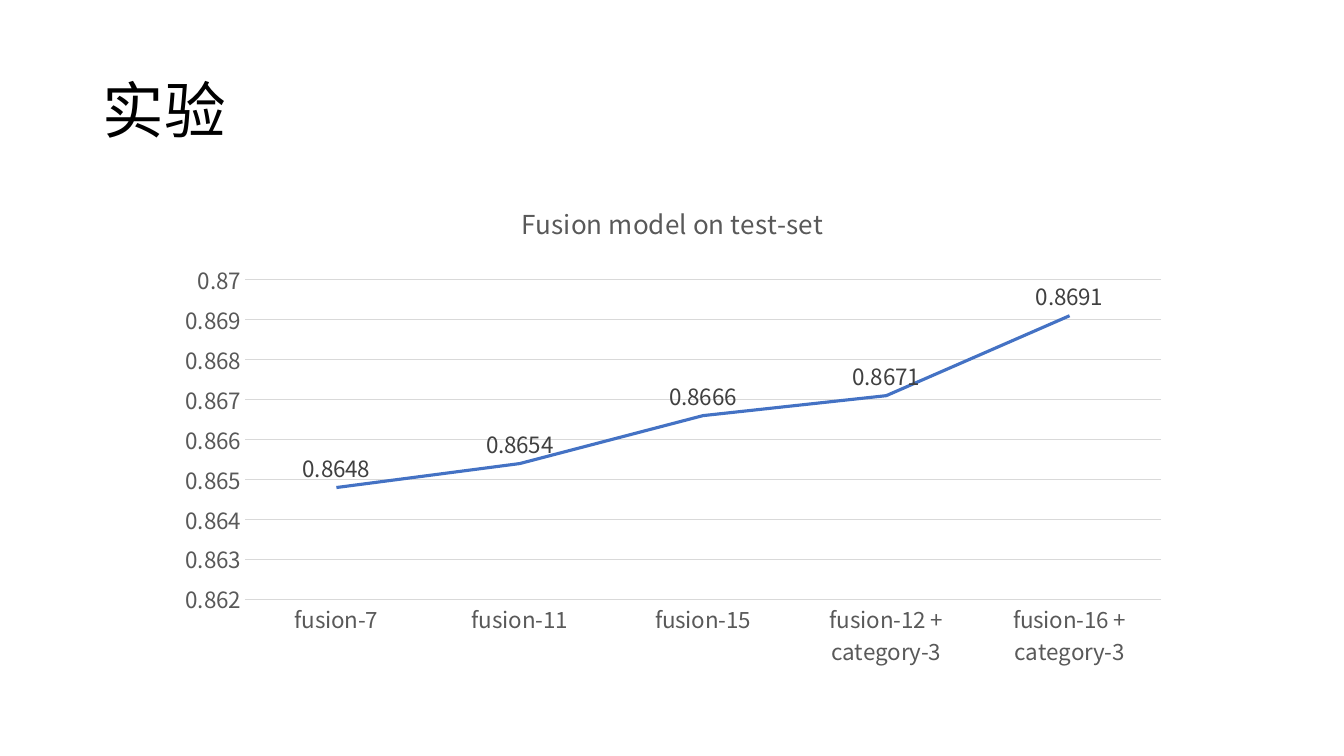
from lxml import etree
from pptx import Presentation
from pptx import util as u
from pptx.chart.data import CategoryChartData
from pptx.dml.color import RGBColor
from pptx.enum import chart as charts, text
from pptx.oxml import parse_xml
from pptx.oxml.ns import nsdecls, qn


def color(value):
    """Turn a hex string into a colour."""
    return RGBColor.from_string(value)


class SlideBuilder:
    """Hold the style and the current slide."""

    font_name = "Noto Sans CJK SC"
    ink, axis_text, label_text = "000000", "595959", "404040"
    grid, accent = "D9D9D9", "4472C4"

    def __init__(self, deck):
        """Add a title-only slide to the deck."""
        self.slide = deck.slides.add_slide(deck.slide_layouts[5])

    def style_font(self, font, size, shade):
        """Apply the typeface, size and colour."""
        font.name = self.font_name
        font.size = u.Pt(size)
        font.bold = False
        font.color.rgb = color(shade)

    def style_line(self, line, shade, width):
        """Apply a solid line."""
        line.color.rgb = color(shade)
        line.width = u.Pt(width)

    def add_title(self, words, left, top, width, height):
        """Place and format the title placeholder."""
        title = self.slide.shapes.title
        title.left, title.top = u.Inches(left), u.Inches(top)
        title.width, title.height = u.Inches(width), u.Inches(height)
        frame = title.text_frame
        frame.text = words
        frame.word_wrap = True
        frame.vertical_anchor = text.MSO_ANCHOR.MIDDLE
        para = frame.paragraphs[0]
        para.alignment = text.PP_ALIGN.LEFT
        para.line_spacing = 0.9
        span = para.runs[0]
        self.style_font(span.font, 44, self.ink)
        latin = span.font._element.find(qn("a:latin"))
        east_asian = etree.Element(qn("a:ea"), typeface=self.font_name)
        latin.addnext(east_asian)

    def add_line_chart(self, heading, names, values, left, top, width, height):
        """Add a one-series line chart with value labels."""
        data = CategoryChartData(number_format="General")
        data.categories = names
        data.add_series("Series 1", values)
        chart = self.slide.shapes.add_chart(
            charts.XL_CHART_TYPE.LINE, u.Inches(left), u.Inches(top),
            u.Inches(width), u.Inches(height), data).chart
        self.style_font(chart.font, 16, self.ink)
        chart.has_legend = False
        chart.has_title = True
        chart.chart_title.include_in_layout = False
        chart.chart_title.text_frame.text = heading
        span = chart.chart_title.text_frame.paragraphs[0].runs[0]
        self.style_font(span.font, 18.6, self.axis_text)

        for axis in (chart.category_axis, chart.value_axis):
            axis.major_tick_mark = charts.XL_TICK_MARK.NONE
            axis.minor_tick_mark = charts.XL_TICK_MARK.NONE
            self.style_font(axis.tick_labels.font, 16, self.axis_text)
        self.style_line(chart.category_axis.format.line, self.grid, 0.75)
        scale = chart.value_axis
        scale.format.line.fill.background()
        scale.minimum_scale, scale.maximum_scale = 0.862, 0.87
        scale.major_unit = 0.001
        scale.has_major_gridlines = True
        self.style_line(scale.major_gridlines.format.line, self.grid, 0.75)

        plot = chart.plots[0]
        plot.vary_by_categories = False
        series = plot.series[0]
        series.smooth = False
        series.marker.style = charts.XL_MARKER_STYLE.NONE
        self.style_line(series.format.line, self.accent, 2.25)
        labels = series.data_labels
        labels.show_value = True
        labels.position = charts.XL_LABEL_POSITION.ABOVE
        self.style_font(labels.font, 16, self.label_text)
        self.set_plot_area(chart, 0.08, 0.2, 0.9, 0.65)

    def set_plot_area(self, chart, x, y, w, h):
        """Fix the inner plot area as fractions of the chart."""
        area = chart._chartSpace.find(".//" + qn("c:plotArea"))
        for layout in area.findall(qn("c:layout")):
            area.remove(layout)
        sizes = "".join(f'<c:{key} val="{value}"/>'
                        for key, value in zip("xywh", (x, y, w, h)))
        area.insert(0, parse_xml(
            f'<c:layout {nsdecls("c")}><c:manualLayout>'
            '<c:layoutTarget val="inner"/><c:xMode val="edge"/>'
            f'<c:yMode val="edge"/>{sizes}</c:manualLayout></c:layout>'))


def main():
    """Build and save the deck."""
    deck = Presentation()
    deck.slide_width, deck.slide_height = u.Inches(13.33), u.Inches(7.5)
    page = SlideBuilder(deck)
    page.add_line_chart(
        "Fusion model on test-set",
        ["fusion-7", "fusion-11", "fusion-15",
         "fusion-12 + category-3", "fusion-16 + category-3"],
        [0.8648, 0.8654, 0.8666, 0.8671, 0.8691],
        1.62, 1.8, 10.1, 4.88)
    page.add_title("实验", 0.92, 0.4, 11.5, 1.45)
    deck.save("out.pptx")


if __name__ == "__main__":
    main()
